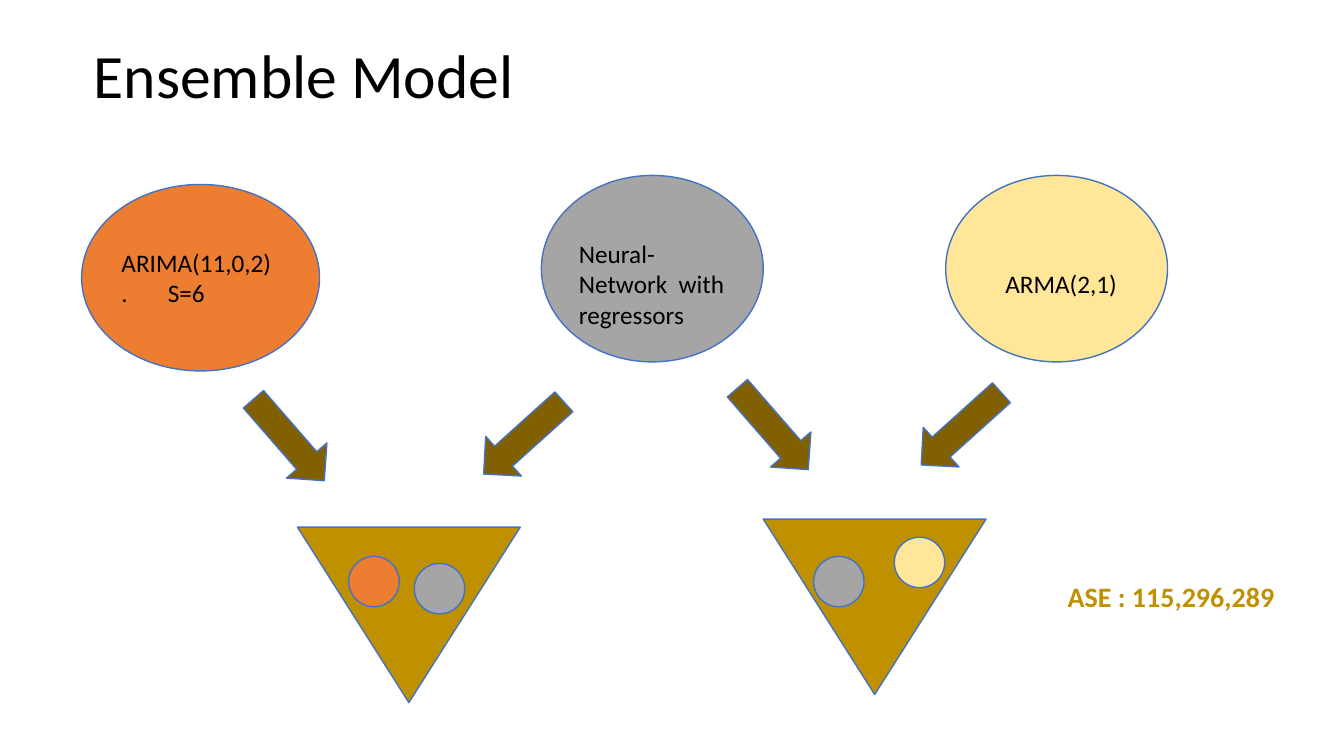
from pptx import Presentation
from pptx.dml.color import RGBColor
from pptx.enum.shapes import MSO_SHAPE as Kind
from pptx.enum.text import MSO_ANCHOR as Anchor, PP_ALIGN as Align
from pptx.util import Pt
from lxml.etree import SubElement

PX = 9144  # EMU per px, 100 px to the inch
THEME = {
    "font": "Calibri", "title": 44, "label": 18, "score": 20,
    "ink": "000000", "edge": "4472C4", "arima": "ED7D31", "neural": "A5A5A5",
    "arma": "FFE699", "arrow": "806000", "gold": "BF9000",
}


def draw(kind, color, left, top, wide, high, turn=0):
    part = slide.shapes.add_shape(kind, left * PX, top * PX, wide * PX, high * PX)
    part.shadow.inherit = False
    part.fill.solid()
    part.fill.fore_color.rgb = RGBColor.from_string(THEME[color])
    part.line.color.rgb = RGBColor.from_string(THEME["edge"])
    part.line.width = Pt(1)
    part.rotation = turn
    return part


def write(part, lines, size, color="ink", bold=False, inset=(5, 5, 5, 5), anchor=Anchor.MIDDLE):
    frame = part.text_frame
    frame.word_wrap = True
    frame.vertical_anchor = anchor
    (frame.margin_left, frame.margin_top,
     frame.margin_right, frame.margin_bottom) = [side * PX for side in inset]
    para = frame.paragraphs[0]
    para.alignment = Align.LEFT
    for row, text in enumerate(lines):
        if row:
            para.add_line_break()
        run = para.add_run()
        run.text = text
        run.font.name = THEME["font"]
        run.font.size = Pt(THEME[size])
        run.font.bold = bold
        run.font.color.rgb = RGBColor.from_string(THEME[color])
    return para


deck = Presentation()
deck.slide_width, deck.slide_height = 1333 * PX, 750 * PX
slide = deck.slides.add_slide(deck.slide_layouts[5])

# Title
title = slide.shapes.title
title.left, title.top, title.width, title.height = [n * PX for n in (88, 11, 1150, 134)]
write(title, ["Ensemble Model"], "title").line_spacing = 0.9

# Source models
models = [
    ("arima", 81, 183, 236, ["ARIMA(11,0,2)", ".\tS=6"], (5, 5, 5, 5)),
    ("neural", 537, 174, 220, ["Neural-Network  with regressors"], (5, 30, 5, 0)),
    ("arma", 938, 174, 220, ["ARMA(2,1)"], (27, 30, 5, 0)),
]
for color, left, top, wide, lines, inset in models:
    oval = draw(Kind.FLOWCHART_CONNECTOR, color, left, top, wide, 185)
    para = write(oval, lines, "label", inset=inset)
    if "\t" in lines[-1]:
        props = para._p.get_or_add_pPr()
        tabs = SubElement(props, props.tag.replace("pPr", "tabLst"))
        SubElement(tabs, props.tag.replace("pPr", "tab"), pos=str(46 * PX), algn="l")

# Arrows from models to ensembles
for left, top, turn in [(260, 383, 319), (493, 381, 48), (740, 372, 319), (927, 372, 48)]:
    draw(Kind.DOWN_ARROW, "arrow", left, top, 53, 107, turn)

# Ensembles, each holding two models
ensembles = [
    (295, 523, [("arima", 346, 552), ("neural", 411, 559)]),
    (757, 515, [("neural", 807, 552), ("arma", 887, 533)]),
]
for left, top, dots in ensembles:
    draw(Kind.ISOSCELES_TRIANGLE, "gold", left, top, 221, 174, 180)
    for color, x, y in dots:
        draw(Kind.FLOWCHART_CONNECTOR, color, x, y, 50, 50)

# Score
score = slide.shapes.add_textbox(*[n * PX for n in (1054, 570, 300, 44)])
write(score, ["ASE : 115,296,289"], "score", "gold", True, anchor=Anchor.TOP)

deck.save("out.pptx")
